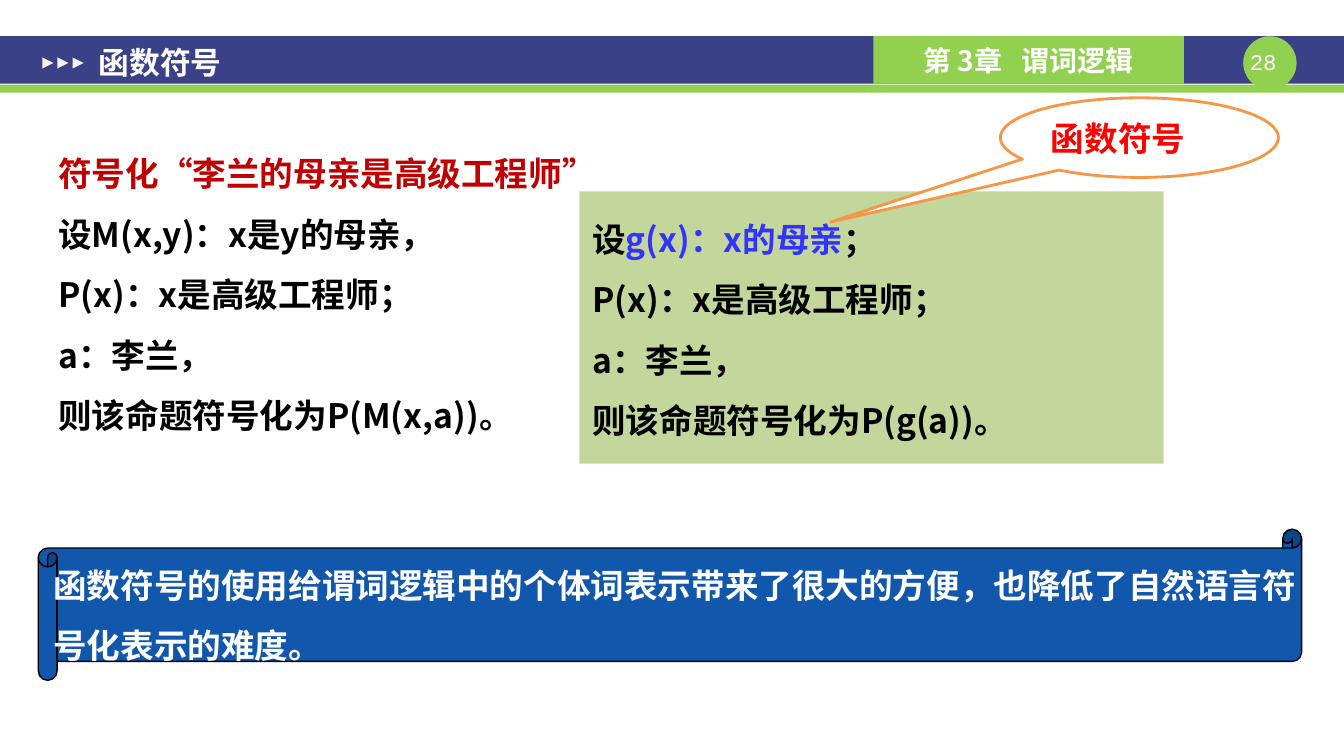
import dataclasses

import pptx
import pptx.dml.color
import pptx.enum.shapes
import pptx.enum.text
import pptx.oxml
import pptx.oxml.ns
import pptx.util

Inches = pptx.util.Inches
Shape = pptx.enum.shapes.MSO_SHAPE
Align = pptx.enum.text.PP_ALIGN
Anchor = pptx.enum.text.MSO_ANCHOR


@dataclasses.dataclass(frozen=True)
class Theme:
    """Colours, fonts and type sizes of the slide."""
    navy: str = "3A4187"
    green: str = "92D050"
    white: str = "FFFFFF"
    marker: str = "F2F2F2"
    black: str = "000000"
    crimson: str = "C00000"
    red: str = "FF0000"
    blue: str = "3333FF"
    panel: str = "C3D69B"
    banner: str = "1157AB"
    orange: str = "F79646"
    font: str = "Noto Sans CJK SC"
    callout_font: str = "Arial"
    number_font: str = "Courier New"
    body_size: int = 24
    title_size: int = 22
    chapter_size: int = 20
    number_size: int = 16


THEME = Theme()
WIDE_INSETS = (0.13, 0.07)
DEFAULT_INSETS = (0.1, 0.05)


def rgb(colour):
    """Turn a hex string into a colour value."""
    return pptx.dml.color.RGBColor.from_string(colour)


def add_block(slide, kind, box, fill, line=None, line_width=1):
    """Add a filled preset shape, outlined only when a line colour is given."""
    shape = slide.shapes.add_shape(kind, *map(Inches, box))
    shape.shadow.inherit = False
    shape.fill.solid()
    shape.fill.fore_color.rgb = rgb(fill)
    if line:
        shape.line.color.rgb = rgb(line)
        shape.line.width = pptx.util.Pt(line_width)
    else:
        shape.line.fill.background()
    return shape


def add_run(paragraph, text, colour, size, font, bold, tracking=0):
    """Append one run with Latin and East Asian typefaces."""
    run = paragraph.add_run()
    run.text = text
    run.font.size = pptx.util.Pt(size)
    run.font.bold = bold
    run.font.color.rgb = rgb(colour)
    run.font.name = font
    properties = run.font._element
    east_asian = pptx.oxml.parse_xml(f'<a:ea {pptx.oxml.ns.nsdecls("a")} typeface="{font}"/>')
    properties.append(east_asian)
    if tracking:
        properties.set("spc", str(tracking * 100))


def write_text(shape, lines, size=THEME.body_size, font=THEME.font, bold=True,
               aligns=(Align.LEFT,), anchor=Anchor.TOP, spacing=1.0,
               insets=DEFAULT_INSETS, wrap=True):
    """Fill a shape with lines, each a list of (text, colour[, tracking]) runs."""
    frame = shape.text_frame
    frame.word_wrap = wrap
    frame.vertical_anchor = anchor
    frame.margin_left = frame.margin_right = Inches(insets[0])
    frame.margin_top = frame.margin_bottom = Inches(insets[1])
    for index, runs in enumerate(lines):
        paragraph = frame.add_paragraph() if index else frame.paragraphs[0]
        paragraph.alignment = aligns[min(index, len(aligns) - 1)]
        paragraph.line_spacing = spacing
        for text, colour, *tracking in runs:
            add_run(paragraph, text, colour, size, font, bold, *tracking)


def add_label(slide, box, lines, **style):
    """Add a text box holding the given lines."""
    write_text(slide.shapes.add_textbox(*map(Inches, box)), lines, **style)


def add_header(slide):
    """Draw the header bands, chapter tag, page number, markers and title."""
    white = THEME.white
    add_block(slide, Shape.RECTANGLE, (0, 0.36, 13.34, 0.47), THEME.navy)
    add_block(slide, Shape.RECTANGLE, (0, 0.84, 13.34, 0.08), THEME.green)
    add_block(slide, Shape.OVAL, (12.34, 0.36, 0.53, 0.53), THEME.green)
    add_label(slide, (12.34, 0.48, 0.53, 0.27), [[("28 ", white)]],
              size=THEME.number_size, font=THEME.number_font, bold=False,
              aligns=(Align.CENTER,), insets=(0, 0))
    chapter = add_block(slide, Shape.RECTANGLE, (8.67, 0.36, 3.08, 0.47), THEME.green)
    write_text(chapter, [[("第 3章", white), (" ", white, 9), ("谓词逻辑", white)]],
               size=THEME.chapter_size, aligns=(Align.CENTER,), anchor=Anchor.MIDDLE)
    for index in range(3):
        marker = add_block(slide, Shape.ISOSCELES_TRIANGLE,
                           (0.42 + 0.15 * index, 0.57, 0.11, 0.11), THEME.marker)
        marker.rotation = 90
    add_label(slide, (0.85, 0.4, 5.8, 0.44), [[("函数符号", white)]],
              size=THEME.title_size, anchor=Anchor.MIDDLE, insets=WIDE_INSETS)


def add_predicate_solution(slide):
    """Write the statement and its form with a two-place predicate."""
    lines = [
        [("符号化“李兰的母亲是高级工程师”", THEME.crimson)],
        [("设M(x,y)：x是y的母亲，", THEME.black)],
        [("P(x)：x是高级工程师；", THEME.black)],
        [("a：李兰，", THEME.black)],
        [("则该命题符号化为P(M(x,a))。", THEME.black)],
    ]
    add_label(slide, (0.45, 1.25, 5.8, 3.35), lines, spacing=1.5, insets=WIDE_INSETS)


def add_function_solution(slide):
    """Draw the panel with the function form and the callout naming it."""
    panel = add_block(slide, Shape.RECTANGLE, (5.75, 1.9, 5.8, 2.7), THEME.panel)
    lines = [
        [("设", THEME.black), ("g(x)：x的母亲", THEME.blue), ("；", THEME.black)],
        [("P(x)：x是高级工程师；", THEME.black)],
        [("a：李兰，", THEME.black)],
        [("则该命题符号化为P(g(a))。", THEME.black)],
    ]
    write_text(panel, lines, spacing=1.5, insets=WIDE_INSETS)
    callout = add_block(slide, Shape.OVAL_CALLOUT, (9.93, 0.97, 2.76, 0.79),
                        THEME.white, THEME.orange, 2)
    callout.adjustments[0] = -1.11
    callout.adjustments[1] = 1.06
    write_text(callout, [[("函数符号", THEME.red)]], font=THEME.callout_font,
               anchor=Anchor.MIDDLE)


def add_conclusion(slide):
    """Draw the scroll with the closing remark."""
    scroll = add_block(slide, Shape.HORIZONTAL_SCROLL, (0.38, 5.25, 12.54, 1.5),
                       THEME.banner, THEME.black)
    lines = [
        [("函数符号的使用给谓词逻辑中的个体词表示带来了很大的方便，也降低了自然语言符", THEME.white)],
        [("号化表示的难度。", THEME.white)],
    ]
    write_text(scroll, lines, aligns=(Align.CENTER, Align.LEFT),
               anchor=Anchor.MIDDLE, spacing=1.5, wrap=False)


def main():
    """Build the slide and save it."""
    presentation = pptx.Presentation()
    presentation.slide_width = Inches(13.34)
    presentation.slide_height = Inches(7.5)
    slide = presentation.slides.add_slide(presentation.slide_layouts[6])
    add_header(slide)
    add_predicate_solution(slide)
    add_conclusion(slide)
    add_function_solution(slide)
    presentation.save("out.pptx")


if __name__ == "__main__":
    main()
